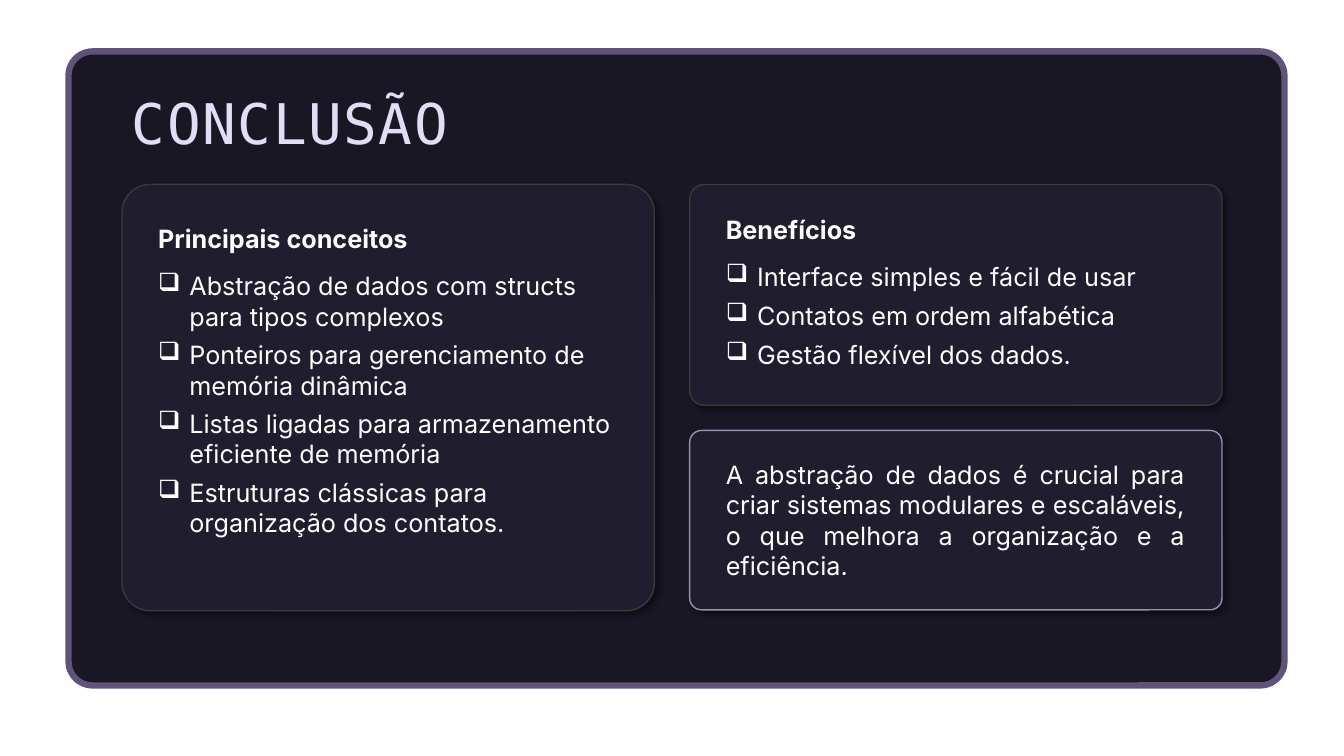
import pptx
import pptx.dml.color
import pptx.enum.shapes
import pptx.enum.text
import pptx.oxml
import pptx.oxml.ns
import pptx.util

RGBColor = pptx.dml.color.RGBColor
Pt = pptx.util.Pt
PP_ALIGN = pptx.enum.text.PP_ALIGN
MSO_ANCHOR = pptx.enum.text.MSO_ANCHOR

PX = 9144
BASE = RGBColor(0x19, 0x17, 0x24)
FRAME = RGBColor(0x5F, 0x53, 0x79)
CARD = RGBColor(0x1F, 0x1D, 0x2E)
EDGE = RGBColor(0x3A, 0x3A, 0x3A)
ACCENT = RGBColor(0x9F, 0x8D, 0xAD)
LAVENDER = RGBColor(0xE0, 0xDE, 0xF4)
WHITE = RGBColor(0xFF, 0xFF, 0xFF)

NS = pptx.oxml.ns.nsdecls("a")
SHADOW = (
    f'<a:effectLst {NS}><a:outerShdw blurRad="50800" dist="38100" dir="2700000" '
    'algn="tl" rotWithShape="0"><a:srgbClr val="000000"><a:alpha val="40000"/>'
    '</a:srgbClr></a:outerShdw></a:effectLst>'
)
CONCEPTS = [
    "Abstração de dados com structs para tipos complexos",
    "Ponteiros para gerenciamento de memória dinâmica",
    "Listas ligadas para armazenamento eficiente de memória",
    "Estruturas clássicas para organização dos contatos.",
]
BENEFITS = [
    "Interface simples e fácil de usar",
    "Contatos em ordem alfabética",
    "Gestão flexível dos dados.",
]
SUMMARY = (
    "A abstração de dados é crucial para criar sistemas modulares e escaláveis, "
    "o que melhora a organização e a eficiência."
)


def add_panel(s, box, fill, line, width=1, radius=0.066, shadow=True):
    """Draw a rounded panel in the given px box."""
    sp = s.shapes.add_shape(
        pptx.enum.shapes.MSO_SHAPE.ROUNDED_RECTANGLE, *(v * PX for v in box))
    sp.adjustments[0] = radius
    sp.fill.solid()
    sp.fill.fore_color.rgb = fill
    sp.line.color.rgb = line
    sp.line.width = Pt(width)
    if shadow:
        sp._element.spPr.append(pptx.oxml.parse_xml(SHADOW))
    else:
        sp.shadow.inherit = False


def add_text_box(s, box, anchor=MSO_ANCHOR.TOP):
    """Add a wrapping text box and return its text frame."""
    tf = s.shapes.add_textbox(*(v * PX for v in box)).text_frame
    tf.word_wrap = True
    tf.vertical_anchor = anchor
    return tf


def write(p, text, size=18, font="Inter", color=WHITE, bold=False, after=6,
          align=None, bullet=None, spacing=None):
    """Fill a paragraph with one formatted run."""
    if bullet:
        pPr = p._p.get_or_add_pPr()
        pPr.set("marL", str(31 * PX))
        pPr.set("indent", str(-31 * PX))
        pPr.append(pptx.oxml.parse_xml(f'<a:buChar {NS} char="{bullet}"/>'))
    p.alignment = align
    p.space_after = Pt(after)
    r = p.add_run()
    r.text = text
    r.font.size = Pt(size)
    r.font.name = font
    r.font.bold = bold
    r.font.color.rgb = color
    if spacing:
        r._r.get_or_add_rPr().set("spc", str(spacing))


def add_title(s, box):
    """Place the slide title in its box."""
    p = add_text_box(s, box, MSO_ANCHOR.MIDDLE).paragraphs[0]
    p.line_spacing = 0.9
    write(p, "CONCLUSÃO", size=40, font="DejaVu Sans Mono", color=LAVENDER,
          after=0, spacing=120)


def add_list_card(s, box, pad, heading, items):
    """Place a card with a heading and a checklist."""
    x, y, w, h = box
    add_panel(s, box, CARD, EDGE)
    tf = add_text_box(s, (x + 26, y + pad, w - 53, h - 2 * pad))
    write(tf.paragraphs[0], heading, bold=True, after=12)
    for item in items:
        write(tf.add_paragraph(), item, bullet="❑")


def add_summary_card(s, box, pad):
    """Place the accented card with the closing statement."""
    x, y, w, h = box
    add_panel(s, box, CARD, ACCENT)
    tf = add_text_box(s, (x + 26, y + pad, w - 53, h - 2 * pad))
    write(tf.paragraphs[0], SUMMARY, align=PP_ALIGN.JUSTIFY)


def add_conclusion(s, box):
    """Lay out the framed conclusion inside the given box."""
    x, y, w, h = box
    add_panel(s, box, BASE, FRAME, width=4.5, radius=0.038, shadow=False)
    left, right, top, card_w = x + 53, x + 616, y + 132, 528
    add_title(s, (left, y + 34, 459, 81))
    add_list_card(s, (left, top, card_w, 423), 34, "Principais conceitos", CONCEPTS)
    add_list_card(s, (right, top, card_w, 219), 25, "Benefícios", BENEFITS)
    add_summary_card(s, (right, top + 244, card_w, 178), 24)


def main():
    """Build and save the deck."""
    prs = pptx.Presentation()
    prs.slide_width = 1333 * PX
    prs.slide_height = 750 * PX
    s = prs.slides.add_slide(prs.slide_layouts[6])
    add_conclusion(s, (68, 51, 1206, 629))
    prs.save("out.pptx")


if __name__ == "__main__":
    main()
